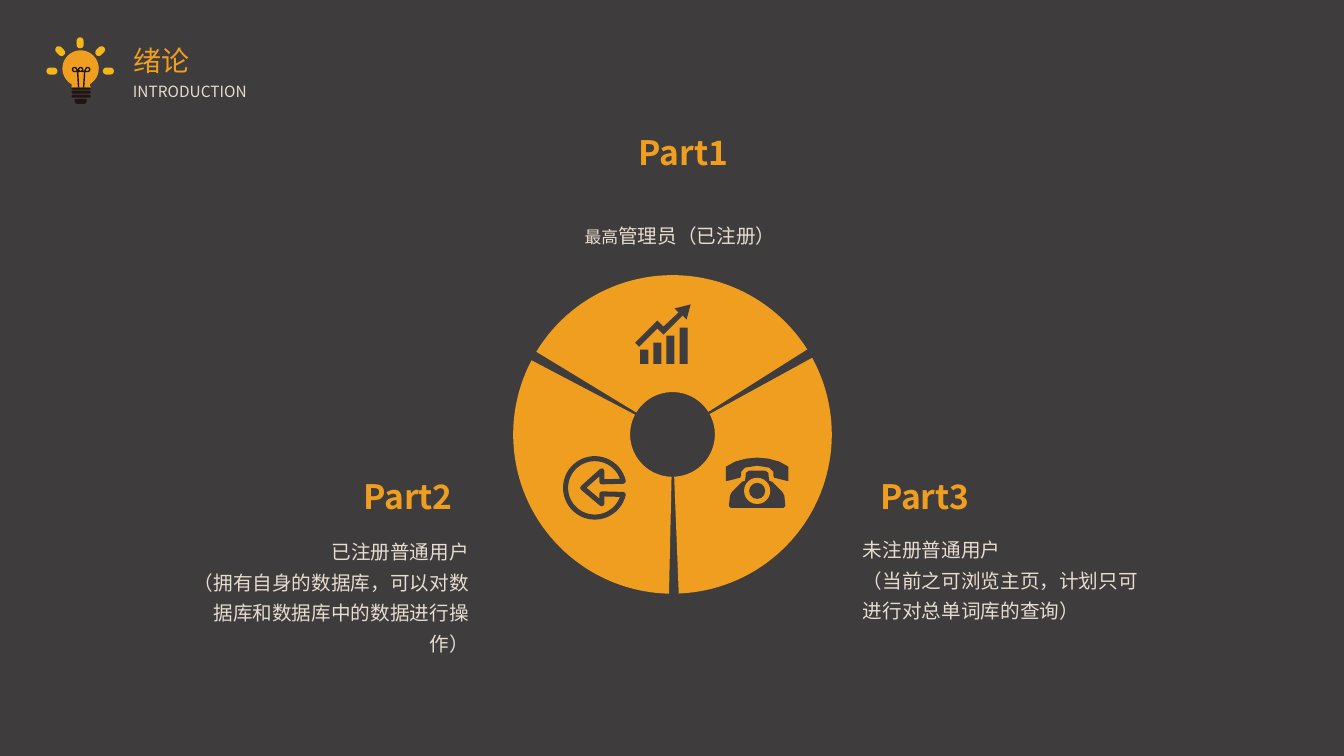
"""Build the introduction slide: three user roles around a split ring."""
from math import cos, radians, sin

from lxml import etree
from pptx import Presentation
from pptx.dml.color import RGBColor
from pptx.enum.shapes import MSO_SHAPE
from pptx.enum.text import MSO_ANCHOR, MSO_AUTO_SIZE, PP_ALIGN
from pptx.oxml.ns import qn
from pptx.util import Inches, Pt

RECT, OVAL = MSO_SHAPE.RECTANGLE, MSO_SHAPE.OVAL
ROUND, CAP = MSO_SHAPE.ROUNDED_RECTANGLE, MSO_SHAPE.ROUND_2_SAME_RECTANGLE
LEFT, MID, RIGHT = PP_ALIGN.LEFT, PP_ALIGN.CENTER, PP_ALIGN.RIGHT
TOP, FIXED = MSO_ANCHOR.TOP, MSO_AUTO_SIZE.NONE
FONT = "Noto Sans CJK SC"
DARK, GOLD, SUN, INK, CREAM = "3F3C3D", "EF9E20", "F3B71A", "201514", "E6DCCF"

TITLE = ("绪论", (1.22, 0.38, 0.76, 0.44))
INTRO = ("INTRODUCTION", (1.22, 0.71, 3.13, 0.32))
PARTS = [
    ("Part1", (6.18, 1.26), MID, (5.22, 2.1, 3.05, 0.41),
     [[("最高", 12), ("管理员（已注册）", 14)]]),
    ("Part3", (8.63, 4.67), LEFT, (8.46, 5.22, 3.05, 1.02),
     ["未注册普通用户", "（当前之可浏览主页，计划只可进行对总单词库的查询）"]),
    ("Part2", (3.39, 4.67), RIGHT, (1.7, 5.24, 3.05, 1.02),
     ["已注册普通用户", "（拥有自身的数据库，可以对数据库和数据库中的数据进行操作）"]),
]
HUB, OUTER, INNER = (6.67, 4.31), 1.58, 0.42
SPLIT, GAP = 30.5, 1.75
TREND = [(6.81, 3.17), (6.85, 3.02), (6.69, 3.06), (6.73, 3.1), (6.58, 3.24),
         (6.52, 3.18), (6.3, 3.4), (6.34, 3.44), (6.52, 3.26), (6.58, 3.32),
         (6.77, 3.13)]
BARS = [0.14, 0.21, 0.28, 0.36]
PHONE = 7.51
HANDSET = [(7.51, 4.54), (7.4, 4.55), (7.29, 4.58), (7.2, 4.63), (7.2, 4.77),
           (7.22, 4.77), (7.34, 4.74), (7.35, 4.72), (7.35, 4.68),
           (7.39, 4.64), (7.45, 4.63), (7.51, 4.62)]
BODY = [(7.51, 4.67), (7.43, 4.67), (7.4, 4.69), (7.39, 4.77), (7.36, 4.78),
        (7.26, 4.88), (7.24, 4.92), (7.23, 5.02), (7.25, 5.04), (7.51, 5.04)]
ARROW = [(5.97, 4.9), (5.97, 5.0), (5.78, 4.84), (5.97, 4.67), (5.97, 4.78)]
BASE = [(0.87, 0.02), (0.9, 0.03), (0.94, 0.03)]

deck = Presentation()
deck.slide_width, deck.slide_height = Inches(13.33), Inches(7.5)
slide = deck.slides.add_slide(deck.slide_layouts[5])
shapes = slide.shapes


def tint(hue):
    """Turn a hex string into a colour."""
    return RGBColor.from_string(hue)


def paint(shape, hue, width=0):
    """Fill the shape, or stroke it when a line width is given."""
    shape.shadow.inherit = False
    if width:
        shape.fill.background()
        shape.line.color.rgb = tint(hue)
        shape.line.width = Pt(width)
    else:
        shape.fill.solid()
        shape.fill.fore_color.rgb = tint(hue)
        shape.line.fill.background()
    return shape


def block(kind, box, hue, turn=0):
    """Add a filled preset shape."""
    shape = paint(shapes.add_shape(kind, *map(Inches, box)), hue)
    shape.rotation = turn
    return shape


def disc(x, y, size, hue):
    """Add a circle by its centre and radius."""
    block(OVAL, (x - size, y - size, 2 * size, 2 * size), hue)


def arc(x, y, size, start, end):
    """List points along an arc, with angles counter-clockwise."""
    steps = 48
    turns = [radians(start + (end - start) * i / steps) for i in range(steps + 1)]
    return [(x + size * cos(a), y - size * sin(a)) for a in turns]


def trace(points, hue, width=0, close=True):
    """Add an outline through the points."""
    spots = [(Inches(x), Inches(y)) for x, y in points]
    pen = shapes.build_freeform(*spots[0], scale=1.0)
    pen.add_line_segments(spots[1:], close=close)
    paint(pen.convert_to_shape(), hue, width)


def mirror(half):
    """Complete a left half about the phone axis."""
    return half + [(2 * PHONE - x, y) for x, y in reversed(half)]


def write(shape, lines, size, hue, align=LEFT, bold=False, space=None, wrap=True):
    """Set the text of a shape, one paragraph per line."""
    frame = shape.text_frame
    frame.word_wrap, frame.auto_size = wrap, FIXED
    frame.vertical_anchor = TOP
    for i, line in enumerate(lines):
        para = frame.add_paragraph() if i else frame.paragraphs[0]
        para.alignment, para.line_spacing = align, space
        font = para.font
        font.name, font.size, font.bold = FONT, Pt(size), bold
        font.color.rgb = tint(hue)
        etree.SubElement(font._element.find(".//" + qn("a:defRPr"))
                         if font._element.tag != qn("a:defRPr")
                         else font._element, qn("a:ea"), typeface=FONT)
        for text, points in [(line, size)] if isinstance(line, str) else line:
            run = para.add_run()
            run.text = text
            if points != size:
                run.font.size = Pt(points)


def label(box, lines, *style, **more):
    """Add a text box."""
    write(shapes.add_textbox(*map(Inches, box)), lines, *style, **more)


slide.background.fill.solid()
slide.background.fill.fore_color.rgb = tint(DARK)

text, box = TITLE
head = shapes.title
head.left, head.top, head.width, head.height = map(Inches, box)
write(head, [text], 20, GOLD, wrap=False)
text, box = INTRO
label(box, [text], 11, CREAM, space=1.3)

trace(arc(0.8, 0.68, 0.18, 240, -60) + [(0.9, 0.87), (0.71, 0.87)], GOLD)
coil = (arc(0.74, 0.69, 0.02, 20, 270) + arc(0.8, 0.69, 0.02, -60, 240)
        + arc(0.87, 0.69, 0.02, 270, 520))
trace([(0.78, 0.87), (0.77, 0.71)] + coil + [(0.84, 0.71), (0.83, 0.87)],
      INK, 1, False)
for y, tall in BASE:
    block(ROUND, (0.71, y, 0.19, tall), INK).adjustments[0] = 0.5
block(CAP, (0.74, 0.98, 0.12, 0.05), INK, 180).adjustments[0] = 0.5
for turn in range(0, 181, 45):
    x, y = arc(0.8, 0.7, 0.28, turn, turn)[0]
    block(ROUND, (x - 0.06, y - 0.03, 0.11, 0.07), SUN, -turn).adjustments[0] = 0.5

for i in range(3):
    start = SPLIT + 120 * i + GAP
    end = start + 120 - 2 * GAP
    trace(arc(*HUB, OUTER, start, end) + arc(*HUB, INNER, end, start), GOLD)

trace(TREND, DARK)
for i, tall in enumerate(BARS):
    block(RECT, (6.35 + 0.13 * i, 3.61 - tall, 0.08, tall), DARK)
trace(mirror(HANDSET), DARK)
trace(mirror(BODY), DARK)
disc(PHONE, 4.87, 0.13, GOLD)
disc(PHONE, 4.87, 0.08, DARK)
trace(arc(5.9, 4.84, 0.29, 13, 347) + ARROW, DARK, 3.6)

for name, spot, align, box, lines in PARTS:
    label((*spot, 1.2, 0.5), [name], 24, GOLD, align, bold=True)
    label(box, lines, 14, CREAM, align, space=1.3)

deck.save("out.pptx")
